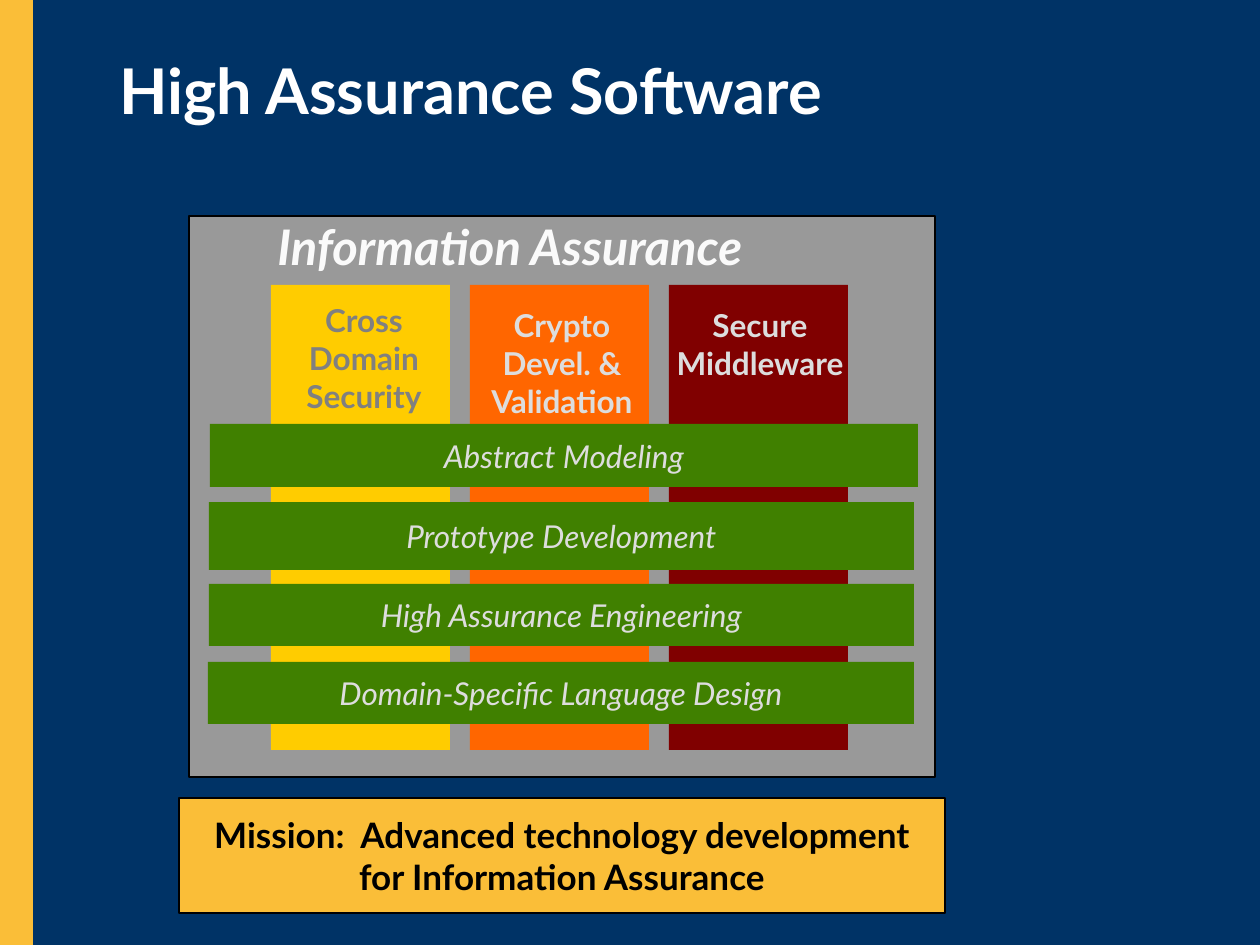
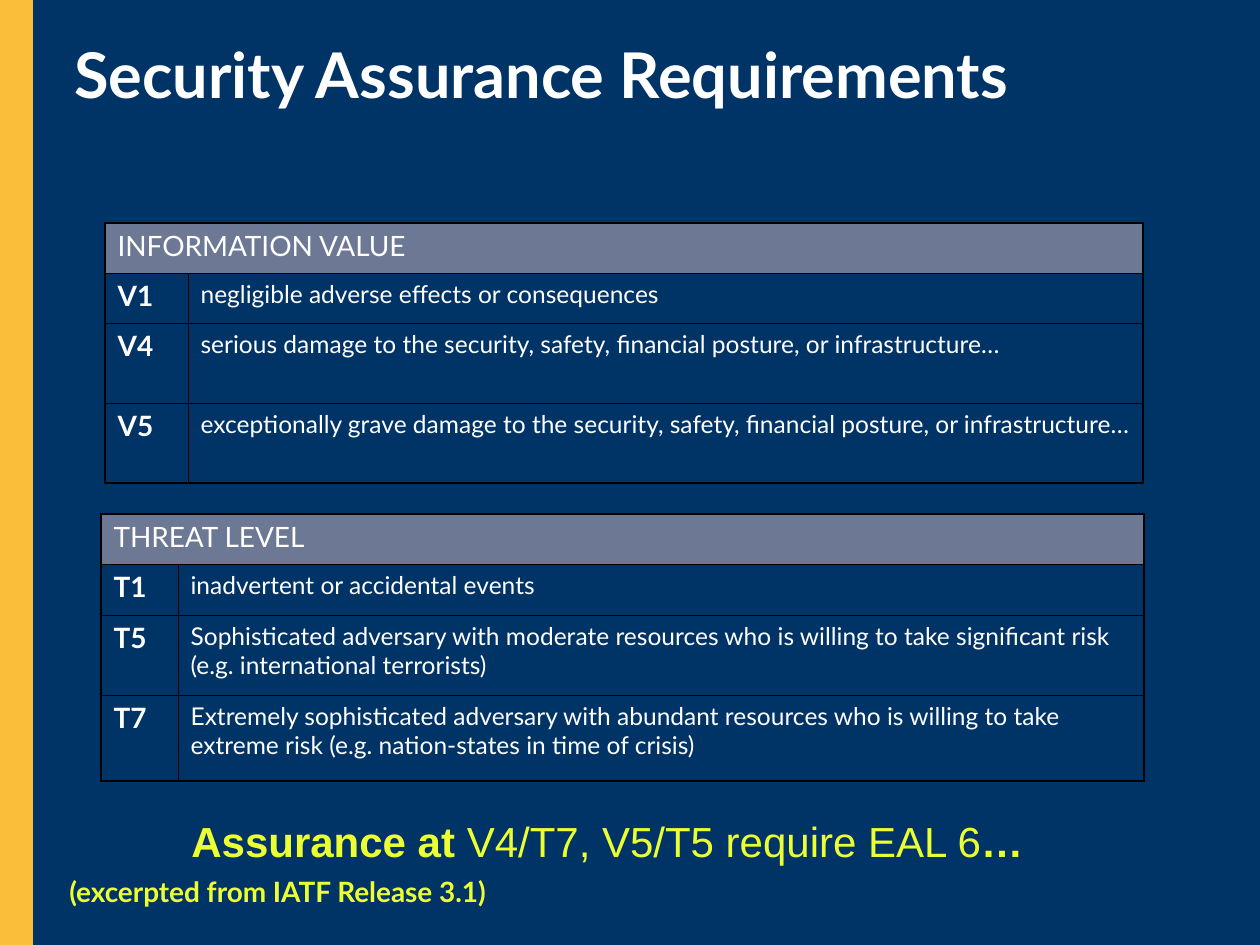
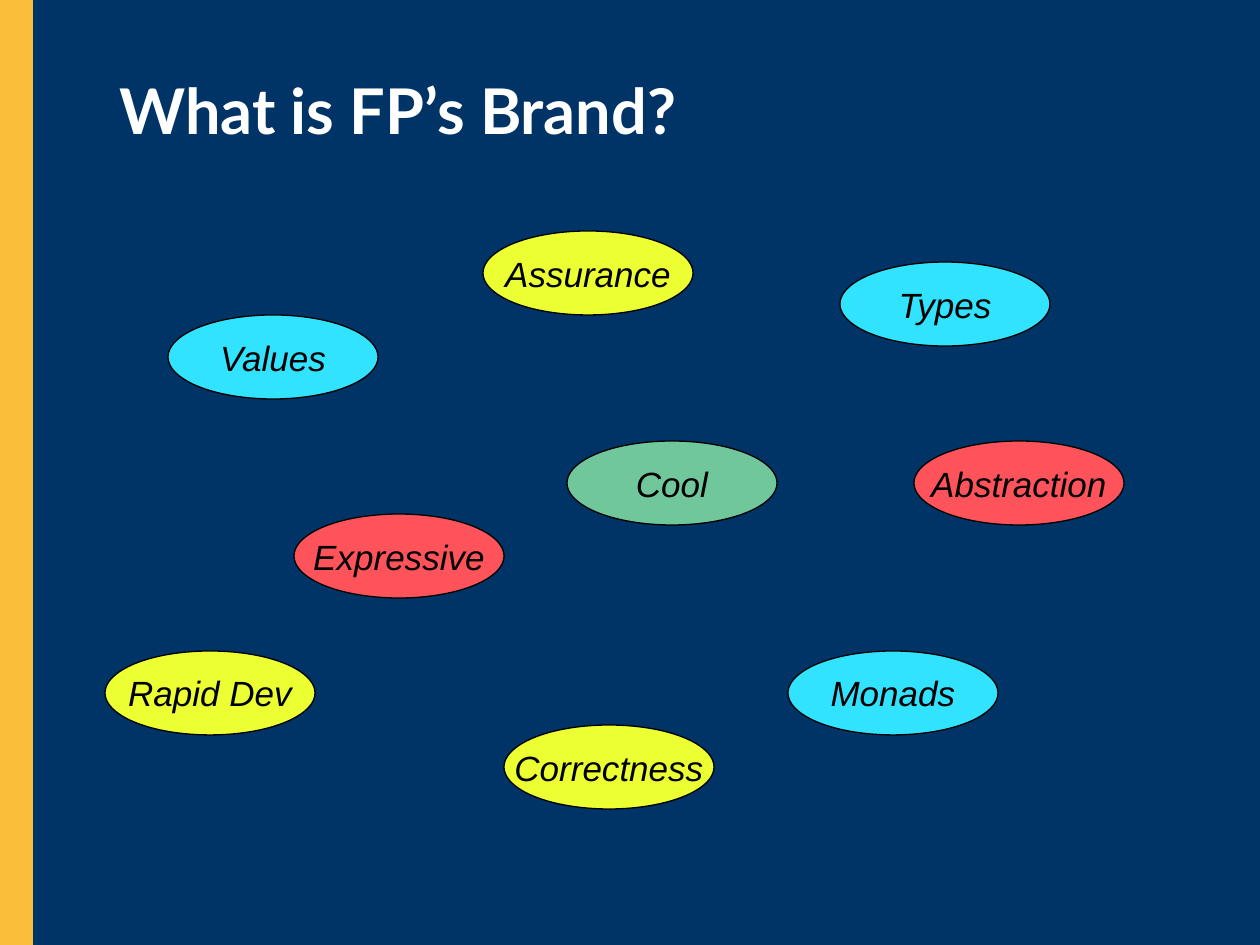
"""Build three slides on high assurance software."""
import pptx
import pptx.util
import pptx.dml.color
import pptx.enum.shapes
import pptx.enum.text
import lxml.etree

SCALE = 914400 / 126
NAVY, GOLD, SLATE, GREY = "003366", "FABE38", "6D7895", "999999"
WHITE, BLACK, PALE, GREEN = "FFFFFF", "000000", "DDDDDD", "408000"
CYAN, RED, LIME, MINT = "31E3FF", "FF535C", "ECFF33", "71C79C"
KIND = pptx.enum.shapes.MSO_SHAPE
ANCHOR = pptx.enum.text.MSO_ANCHOR
ALIGN = pptx.enum.text.PP_ALIGN

TITLES = [
    ("High Assurance Software", (107, 21, 927, 136)),
    ("Security Assurance Requirements", (62, 0, 1173, 147)),
    ("What is FP’s Brand?", (107, 30, 1065, 158)),
]
MISSION = "Mission:  Advanced technology development\nfor Information Assurance"
PILLARS = [
    ("Cross\nDomain\nSecurity", "FFCC00", "808080", (287, 295, 154, 126)),
    ("Crypto\nDevel. &\nValidation", "FF6600", PALE, (469, 300, 186, 126)),
    ("Secure\nMiddleware", "800000", PALE, (654, 300, 212, 88)),
]
BARS = [
    ("Abstract Modeling", (210, 424, 708, 63)),
    ("Prototype Development", (209, 502, 705, 68)),
    ("High Assurance Engineering", (209, 584, 705, 62)),
    ("Domain-Specific Language Design", (208, 662, 706, 62)),
]
TABLES = [
    ("INFORMATION VALUE", (105, 223), (83, 955), (50, 50, 80, 80), [
        ("V1", "negligible adverse effects or consequences"),
        ("V4", "serious damage to the security, safety, financial posture, or infrastructure…"),
        ("V5", "exceptionally grave damage to the security, safety, financial posture, "
               "or infrastructure…"),
    ]),
    ("THREAT LEVEL", (101, 514), (77, 966), (50, 51, 80, 86), [
        ("T1", "inadvertent or accidental events"),
        ("T5", "Sophisticated adversary with moderate resources who is willing to take "
               "significant risk (e.g. international terrorists)"),
        ("T7", "Extremely sophisticated adversary with abundant resources who is willing "
               "to take extreme risk (e.g. nation-states in time of crisis)"),
    ]),
]
VERDICT = "Assurance at |V4/T7, V5/T5 require EAL 6|…"
CREDIT = "(excerpted from IATF Release 3.1)"
TRAITS = [
    ("Values", CYAN, 168, 315), ("Types", CYAN, 840, 262), ("Monads", CYAN, 788, 651),
    ("Expressive", RED, 294, 514), ("Abstraction", RED, 914, 441),
    ("Cool", MINT, 567, 441), ("Assurance", LIME, 483, 231),
    ("Rapid Dev", LIME, 105, 651), ("Correctness", LIME, 504, 725),
]


def px(*nums):
    return [pptx.util.Emu(round(n * SCALE)) for n in nums]


def tint(code):
    return pptx.dml.color.RGBColor.from_string(code)


def write(frame, text, size=18, font="Lato", color=WHITE, bold=False, slant=False,
          center=False, middle=False, wrap=False, before=0, line=None):
    """Fill a frame; a bar in the text flips bold on and off."""
    frame.word_wrap = wrap
    frame.vertical_anchor = ANCHOR.MIDDLE if middle else ANCHOR.TOP
    for n, words in enumerate(text.split("\n")):
        para = frame.add_paragraph() if n else frame.paragraphs[0]
        para.alignment = ALIGN.CENTER if center else ALIGN.LEFT
        para.space_before = pptx.util.Pt(before)
        para.line_spacing = line
        for k, part in enumerate(words.split("|")):
            run = para.add_run()
            run.text = part
            run.font.name, run.font.size = font, pptx.util.Pt(size)
            run.font.bold, run.font.italic = bold ^ (k % 2 == 1), slant
            run.font.color.rgb = tint(color)


def label(slide, text, box, **form):
    write(slide.shapes.add_textbox(*px(*box)).text_frame, text, **form)


def block(slide, box, fill, edge=False, kind=KIND.RECTANGLE):
    shape = slide.shapes.add_shape(kind, *px(*box))
    shape.shadow.inherit = False
    shape.fill.solid()
    shape.fill.fore_color.rgb = tint(fill)
    if edge:
        shape.line.color.rgb = tint(BLACK)
        shape.line.width = pptx.util.Pt(0.75)
    else:
        shape.line.fill.background()
    return shape.text_frame


def start(deck, title, box):
    slide = deck.slides.add_slide(deck.slide_layouts[6])
    back = slide.background.fill
    back.solid()
    back.fore_color.rgb = tint(NAVY)
    block(slide, (0, 0, 33, 945), GOLD)
    label(slide, title, box, size=36, bold=True, middle=True, wrap=True)
    return slide


def rule(cell, sides):
    space = "http://schemas.openxmlformats.org/drawingml/2006/main"
    props = cell._tc.get_or_add_tcPr()
    for side, outer in sides.items():
        width = pptx.util.Pt(1.08 if outer else 0.45)
        line = lxml.etree.SubElement(props, f"{{{space}}}ln{side}", w=str(width))
        fill = lxml.etree.SubElement(line, f"{{{space}}}solidFill")
        lxml.etree.SubElement(fill, f"{{{space}}}srgbClr", val=BLACK)


def grid(slide, head, spot, wide, tall, rows):
    box = px(*spot, sum(wide), sum(tall))
    table = slide.shapes.add_table(len(tall), len(wide), *box).table
    table.first_row = table.horz_banding = False
    for col, size in zip(table.columns, px(*wide)):
        col.width = size
    for row, size in zip(table.rows, px(*tall)):
        row.height = size
    table.cell(0, 0).merge(table.cell(0, 1))
    for r, texts in enumerate([(head, ""), *rows]):
        for c, text in enumerate(texts):
            cell = table.cell(r, c)
            rule(cell, {"L": c == 0, "R": c == 1 or r == 0,
                        "T": r == 0, "B": r == len(rows)})
            if r:
                cell.fill.background()
            else:
                cell.fill.solid()
                cell.fill.fore_color.rgb = tint(SLATE)
            if text:
                write(cell.text_frame, text, size=14 if c else 16, wrap=True,
                      bold=r > 0 and c == 0, before=3.5 if c else 4)


def main():
    deck = pptx.Presentation()
    deck.slide_width, deck.slide_height = px(1260, 945)
    soft, needs, brand = [start(deck, *title) for title in TITLES]

    write(block(soft, (179, 798, 766, 115), GOLD, edge=True), MISSION, size=20,
          color=BLACK, bold=True, center=True, middle=True)
    block(soft, (189, 216, 746, 561), GREY, edge=True)
    label(soft, "Information Assurance", (265, 210, 556, 72), size=28,
          color="FAFAFA", bold=True, slant=True)
    for n, (text, fill, ink, box) in enumerate(PILLARS):
        block(soft, (271 + 199 * n, 285, 179, 465), fill)
        label(soft, text, box, color=ink, bold=True, center=True)
    for text, box in BARS:
        write(block(soft, box, GREEN), text, color=PALE, slant=True,
              center=True, middle=True)

    for table in TABLES:
        grid(needs, *table)
    label(needs, CREDIT, (57, 872, 490, 43), size=16, color=LIME, bold=True,
          before=4, line=0.9)
    label(needs, VERDICT, (179, 809, 858, 63), size=24, font="Arial",
          color=LIME, bold=True)

    for text, fill, left, top in TRAITS:
        oval = block(brand, (left, top, 210, 84), fill, edge=True, kind=KIND.OVAL)
        write(oval, text, size=20, font="Arial", color=BLACK, slant=True,
              center=True, middle=True)
    deck.save("out.pptx")


if __name__ == "__main__":
    main()
